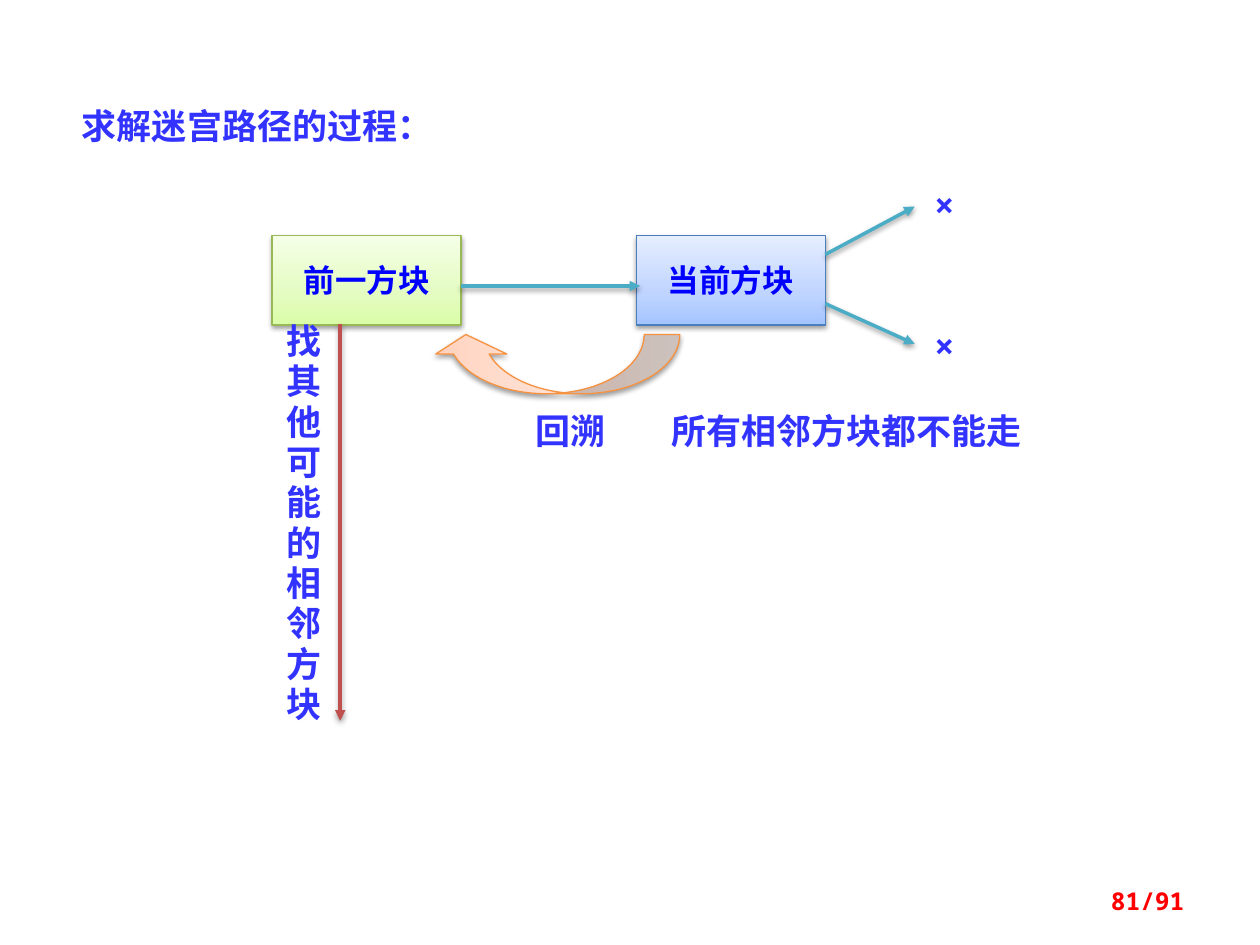
from dataclasses import dataclass
from typing import Optional

from lxml import etree
from pptx import Presentation
from pptx.dml.color import RGBColor
from pptx.enum.shapes import MSO_CONNECTOR, MSO_SHAPE
from pptx.enum.text import MSO_ANCHOR, MSO_AUTO_SIZE, PP_ALIGN
from pptx.oxml import parse_xml
from pptx.oxml.ns import nsdecls, qn
from pptx.util import Inches, Pt

RECT, CURVED = MSO_SHAPE.RECTANGLE, MSO_SHAPE.CURVED_LEFT_ARROW
STRAIGHT = MSO_CONNECTOR.STRAIGHT
LEFT, CENTER, RIGHT = PP_ALIGN.LEFT, PP_ALIGN.CENTER, PP_ALIGN.RIGHT
TOP, MIDDLE = MSO_ANCHOR.TOP, MSO_ANCHOR.MIDDLE
NO_FIT = MSO_AUTO_SIZE.NONE

MONO, SANS_JP, SANS_SC = "Noto Sans Mono", "Noto Sans CJK JP", "Noto Sans CJK SC"
INDIGO = RGBColor(0x33, 0x33, 0xFF)
BLUE = RGBColor(0x00, 0x00, 0xFF)
RED = RGBColor(0xFF, 0x00, 0x00)
TEAL = RGBColor(0x4B, 0xAC, 0xC6)
BRICK = RGBColor(0xC0, 0x50, 0x4D)
GREEN_EDGE = RGBColor(0x98, 0xB9, 0x55)
BLUE_EDGE = RGBColor(0x4B, 0x7E, 0xBC)
ORANGE_EDGE = RGBColor(0xF6, 0x92, 0x40)
GREENS = (RGBColor(0xDA, 0xFD, 0xA7), RGBColor(0xE4, 0xFC, 0xC2), RGBColor(0xF5, 0xFF, 0xE7))
BLUES = (RGBColor(0xA4, 0xC4, 0xFF), RGBColor(0xBF, 0xD4, 0xFF), RGBColor(0xE6, 0xEE, 0xFF))
ORANGES = (RGBColor(0xFF, 0xD2, 0xBD), RGBColor(0xFF, 0xDE, 0xD0), RGBColor(0xFF, 0xF2, 0xED))
STOPS = (0, 35, 100)


@dataclass
class Block:
    left: float
    text: str
    colors: tuple
    edge: RGBColor


@dataclass
class Arrow:
    x1: float
    y1: float
    x2: float
    y2: float
    color: RGBColor = TEAL


@dataclass
class Label:
    left: float
    top: float
    width: float
    height: float
    text: str
    font: str = MONO
    align: Optional[PP_ALIGN] = CENTER
    size: int = 20
    color: RGBColor = INDIGO
    anchor: MSO_ANCHOR = TOP
    vertical: bool = False


def write(tf, text: str, font: str, size: int, color: RGBColor, align) -> None:
    tf.text = text
    p = tf.paragraphs[0]
    p.alignment = align
    r = p.runs[0]
    r.font.name, r.font.size, r.font.bold = font, Pt(size), True
    r.font.color.rgb = color
    # East Asian characters take their own typeface
    etree.SubElement(r.font._element, qn("a:ea"), typeface=font)


def add_shadow(sp) -> None:
    sp._element.spPr.append(parse_xml(
        f'<a:effectLst {nsdecls("a")}>'
        '<a:outerShdw blurRad="39370" dist="20320" dir="5400000" rotWithShape="0">'
        '<a:srgbClr val="000000"><a:alpha val="38000"/></a:srgbClr>'
        '</a:outerShdw></a:effectLst>'))


def style_shape(sp, colors: tuple, edge: RGBColor) -> None:
    stops = "".join(f'<a:gs pos="{pos * 1000}"><a:srgbClr val="{c}"/></a:gs>'
                    for pos, c in zip(STOPS, colors))
    sp.fill.background()
    spPr = sp._element.spPr
    spPr.replace(spPr.find(qn("a:noFill")), parse_xml(
        f'<a:gradFill {nsdecls("a")} rotWithShape="1"><a:gsLst>{stops}</a:gsLst>'
        '<a:lin ang="16200000" scaled="0"/></a:gradFill>'))
    sp.line.color.rgb = edge
    sp.line.width = Pt(0.75)
    add_shadow(sp)


def add_block(s, b: Block) -> None:
    sp = s.shapes.add_shape(RECT, Inches(b.left), Inches(1.87), Inches(1.5), Inches(0.71))
    style_shape(sp, b.colors, b.edge)
    tf = sp.text_frame
    tf.word_wrap = False
    tf.vertical_anchor = MIDDLE
    write(tf, b.text, MONO, 18, BLUE, CENTER)


def add_arrow(s, a: Arrow) -> None:
    cn = s.shapes.add_connector(STRAIGHT, Inches(a.x1), Inches(a.y1),
                                Inches(a.x2), Inches(a.y2))
    cn.line.color.rgb = a.color
    cn.line.width = Pt(2)
    etree.SubElement(cn._element.spPr.find(qn("a:ln")), qn("a:tailEnd"), type="triangle")
    add_shadow(cn)


def add_label(s, lb: Label) -> None:
    tb = s.shapes.add_textbox(Inches(lb.left), Inches(lb.top),
                              Inches(lb.width), Inches(lb.height))
    tf = tb.text_frame
    tf.word_wrap = True
    tf.vertical_anchor = lb.anchor
    write(tf, lb.text, lb.font, lb.size, lb.color, lb.align)
    if lb.vertical:
        tf.margin_left = tf.margin_right = tf.margin_top = tf.margin_bottom = 0
        tf._element.bodyPr.set("vert", "eaVert")
        tf.paragraphs[0].runs[0].font._element.set("spc", "300")


BLOCKS = [
    Block(2.16, "前一方块", GREENS, GREEN_EDGE),
    Block(5.05, "当前方块", BLUES, BLUE_EDGE),
]
ARROWS = [
    Arrow(6.55, 2.02, 7.26, 1.64),
    Arrow(6.55, 2.41, 7.26, 2.73),
    Arrow(3.66, 2.27, 5.08, 2.27),
    Arrow(2.7, 2.57, 2.7, 5.72, BRICK),
]
LABELS = [
    Label(7.18, 1.41, 0.63, 0.44, "×"),
    Label(7.18, 2.53, 0.63, 0.44, "×"),
    Label(4.06, 3.2, 0.94, 0.44, "回溯", SANS_JP),
    Label(2.23, 2.57, 0.34, 3.29, "找其他可能的相邻方块", SANS_SC, vertical=True),
    Label(5.23, 3.2, 3.13, 0.44, "所有相邻方块都不能走", SANS_SC, LEFT),
    Label(7.17, 6.95, 2.33, 0.4, "81/91", MONO, RIGHT, 14, RED, MIDDLE),
]


def main() -> None:
    prs = Presentation()
    prs.slide_width, prs.slide_height = Inches(10), Inches(7.5)
    s = prs.slides.add_slide(prs.slide_layouts[5])

    # Title
    title = s.shapes.title
    title.left, title.top = Inches(0.55), Inches(0.78)
    title.width, title.height = Inches(3.7), Inches(0.44)
    title.text_frame.auto_size = NO_FIT
    title.text_frame.vertical_anchor = TOP
    write(title.text_frame, "求解迷宫路径的过程：", MONO, 20, INDIGO, LEFT)

    # Blocks and the arrows between them
    for block in BLOCKS:
        add_block(s, block)
    for arrow in ARROWS:
        add_arrow(s, arrow)

    # Curved backtracking arrow
    back = s.shapes.add_shape(CURVED, Inches(4.17), Inches(1.9), Inches(0.47), Inches(1.98))
    back.rotation = 90
    for i, value in enumerate((0.6, 1.2, 0.33)):
        back.adjustments[i] = value
    style_shape(back, ORANGES, ORANGE_EDGE)

    # Labels and page number
    for label in LABELS:
        add_label(s, label)

    prs.save("out.pptx")


if __name__ == "__main__":
    main()
